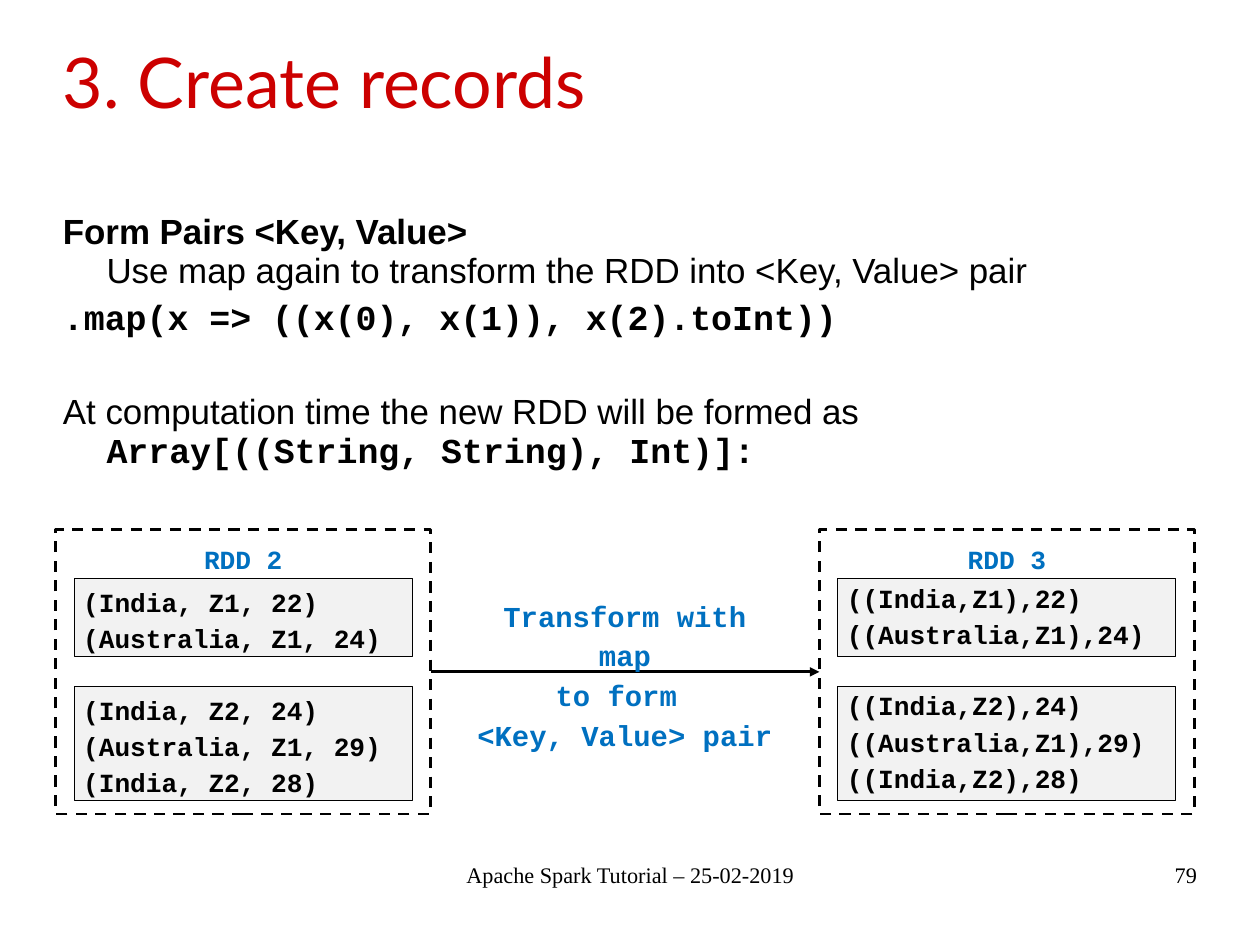
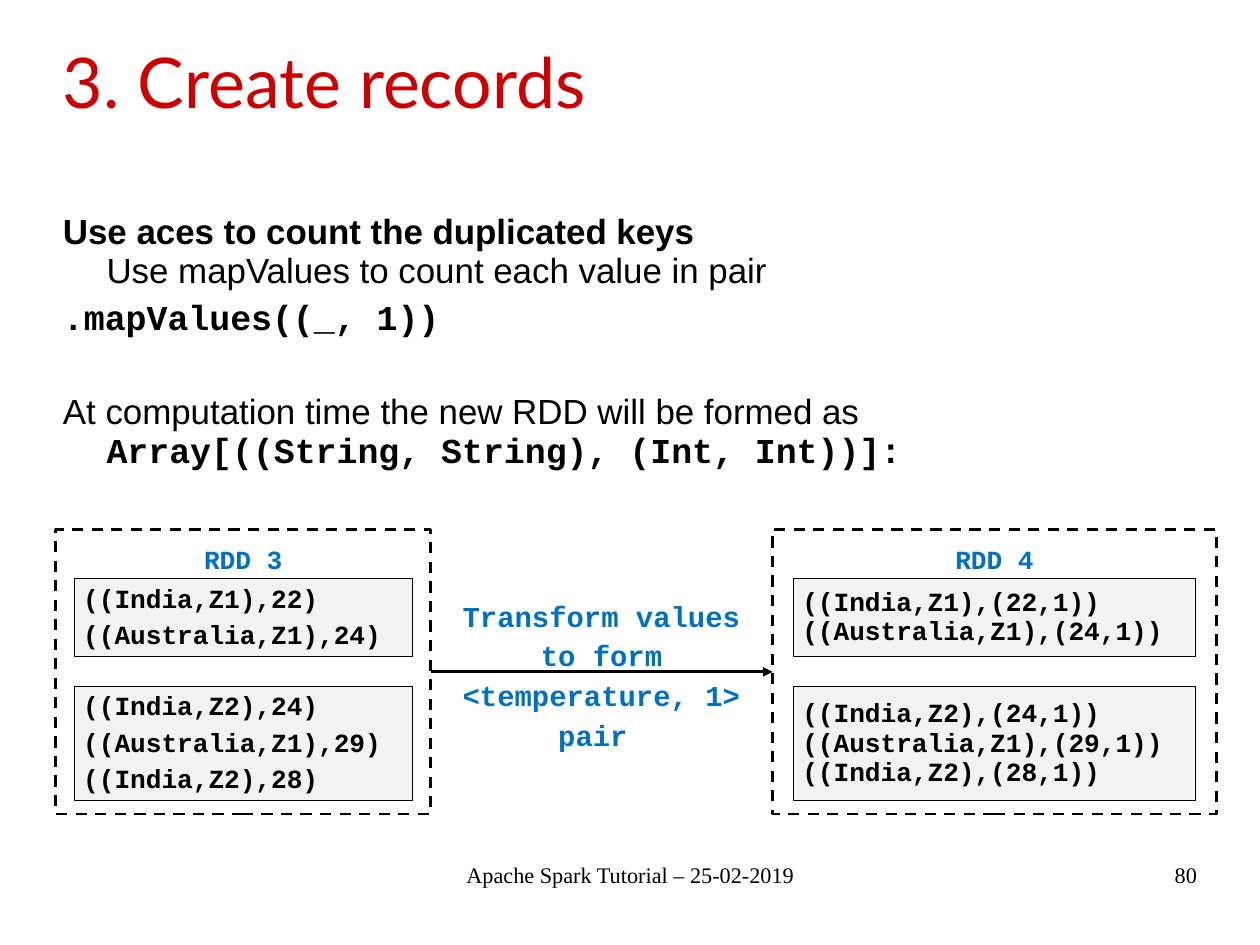
from dataclasses import dataclass

from lxml import etree
from pptx import Presentation
from pptx.dml.color import RGBColor
from pptx.enum.dml import MSO_LINE
from pptx.enum.shapes import MSO_CONNECTOR, MSO_SHAPE
from pptx.enum.text import MSO_ANCHOR, PP_ALIGN
from pptx.oxml.ns import qn
from pptx.util import Cm, Pt

RECTANGLE = MSO_SHAPE.RECTANGLE
STRAIGHT = MSO_CONNECTOR.STRAIGHT
DASH = MSO_LINE.DASH
TOP, MIDDLE = MSO_ANCHOR.TOP, MSO_ANCHOR.MIDDLE
LEFT, CENTER, RIGHT = PP_ALIGN.LEFT, PP_ALIGN.CENTER, PP_ALIGN.RIGHT

BLACK = RGBColor(0x00, 0x00, 0x00)
RED = RGBColor(0xCC, 0x00, 0x00)
BLUE = RGBColor(0x00, 0x70, 0xC0)
PALE_GRAY = RGBColor(0xF2, 0xF2, 0xF2)

SANS, MONO, SERIF, HEADING = "Arial", "Courier New", "Times New Roman", "Lato"

TITLE_BOX = (1.4, 0.03, 25.2, 3.5)
BODY_BOX = (1.4, 4.32, 25.35, 14.1)
FOOTER_BOX = (9.58, 19.13, 8.86, 1.45)
NUMBER_BOX = (20.07, 19.13, 6.53, 1.45)
PANE_TOP, PANE_HEIGHT = 11.77, 6.32
LEFT_PANE_BOX = (1.24, PANE_TOP, 8.33, PANE_HEIGHT)
STEP_WIDTH, STEP_HEIGHT, STEP_DROP = 7.26, 3.99, 1.21
RECORD_DROP, RECORD_GAP = 1.08, 0.65
RECORD_HEIGHTS = (1.75, 2.54)
PADDING = 0.2

LOOSE = (1.15, 0)
SPACED = (0.93, 4.6)
TIGHT = (0.93, 0)


@dataclass
class Style:
    font: str
    size: float
    color: RGBColor = BLACK
    bold: bool = False
    align: int = LEFT
    spacing: tuple = (1, 0)


TITLE = Style(HEADING, 44, RED, spacing=(0.69, 0))
FOOTER = Style(SERIF, 14, align=CENTER)
NUMBER = Style(SERIF, 14, align=RIGHT)
PANE_LABEL = Style(MONO, 16.5, BLUE, True, CENTER, LOOSE)
STEP_LABEL = Style(MONO, 18.2, BLUE, True, CENTER, LOOSE)


@dataclass
class Pane:
    name: str
    groups: tuple
    spacing: tuple
    inset: float = 0.41


@dataclass
class Content:
    number: int
    heading: str
    detail: str
    code: str
    result: str
    step: tuple
    source: Pane
    target: Pane
    target_left: float
    target_width: float


def format_span(span, font, size, color, bold):
    span.font.name = font
    span.font.size = Pt(size)
    span.font.color.rgb = color
    span.font.bold = bold


def set_frame(shape, anchor=TOP, padding=0, top=None):
    frame = shape.text_frame
    frame.word_wrap = True
    frame.vertical_anchor = anchor
    frame.margin_left = frame.margin_right = frame.margin_bottom = Cm(padding)
    frame.margin_top = Cm(padding if top is None else top)
    return frame


def write(frame, lines, style):
    frame.text = "\n".join(lines)
    line_spacing, gap = style.spacing
    for index, para in enumerate(frame.paragraphs):
        para.alignment = style.align
        para.line_spacing = line_spacing
        para.space_before = Pt(gap if index else 0)
        for span in para.runs:
            format_span(span, style.font, style.size, style.color, style.bold)


def add_label(page, box, lines, style, **frame_options):
    label = page.shapes.add_textbox(*map(Cm, box))
    write(set_frame(label, **frame_options), lines, style)


def add_rectangle(page, box, width):
    shape = page.shapes.add_shape(RECTANGLE, *map(Cm, box))
    shape.shadow.inherit = False
    shape.line.color.rgb = BLACK
    shape.line.width = Pt(width)
    return shape


def add_body(page, box, content):
    body = page.shapes.add_textbox(*map(Cm, box))
    frame = set_frame(body, top=0.43)
    blocks = (
        (0, ((content.heading, SANS, True), (content.detail, SANS, False))),
        (4.6, ((content.code, MONO, True),)),
        (35, (("At computation time the new RDD will be formed as", SANS, False),
              (content.result, MONO, True))),
    )
    for index, (gap, spans) in enumerate(blocks):
        para = frame.add_paragraph() if index else frame.paragraphs[0]
        properties = para._p.get_or_add_pPr()
        properties.set("marL", str(Cm(0.97)))
        properties.set("indent", str(Cm(-0.97)))
        para.line_spacing = 0.93
        para.space_before = Pt(gap)
        for position, (text, font, bold) in enumerate(spans):
            if position:
                para.add_line_break()
            span = para.add_run()
            span.text = text
            format_span(span, font, 22, BLACK, bold)


def add_pane(page, box, pane):
    left, top, width, _ = box
    style = Style(MONO, 16.5, bold=True, spacing=pane.spacing)
    record_top = top + RECORD_DROP
    for lines, height in zip(pane.groups, RECORD_HEIGHTS):
        record_box = (left + pane.inset, record_top, width - 2 * pane.inset, height)
        record = add_rectangle(page, record_box, 0.75)
        record.fill.solid()
        record.fill.fore_color.rgb = PALE_GRAY
        write(set_frame(record, MIDDLE, PADDING), lines, style)
        record_top += height + RECORD_GAP
    outline = add_rectangle(page, box, 1.75)
    outline.fill.background()
    outline.line.dash_style = DASH
    write(set_frame(outline, TOP, PADDING), (pane.name,), PANE_LABEL)
    return outline


def add_arrow(page, start, end):
    arrow = page.shapes.add_connector(STRAIGHT, 0, 0, 0, 0)
    arrow.begin_connect(start, 3)
    arrow.end_connect(end, 1)
    arrow.line.color.rgb = BLACK
    arrow.line.width = Pt(2)
    head = etree.SubElement(arrow.line._get_or_add_ln(), qn("a:tailEnd"))
    head.set("type", "triangle")
    etree.SubElement(arrow._element.spPr, qn("a:effectLst"))


def add_transformation(page, content):
    target_box = (content.target_left, PANE_TOP, content.target_width, PANE_HEIGHT)
    source = add_pane(page, LEFT_PANE_BOX, content.source)
    target = add_pane(page, target_box, content.target)
    add_arrow(page, source, target)
    gap_middle = (LEFT_PANE_BOX[0] + LEFT_PANE_BOX[2] + content.target_left) / 2
    step_box = (gap_middle - STEP_WIDTH / 2, PANE_TOP + STEP_DROP, STEP_WIDTH, STEP_HEIGHT)
    add_label(page, step_box, content.step, STEP_LABEL, padding=PADDING)


def add_page(deck, content):
    page = deck.slides.add_slide(deck.slide_layouts[6])
    add_label(page, FOOTER_BOX, ("Apache Spark Tutorial – 25-02-2019",), FOOTER)
    add_label(page, NUMBER_BOX, (str(content.number),), NUMBER)
    add_label(page, TITLE_BOX, ("3. Create records",), TITLE, anchor=MIDDLE, top=0.48)
    add_body(page, BODY_BOX, content)
    add_transformation(page, content)


PAIRS = Pane(
    "RDD 3",
    (("((India,Z1),22)", "((Australia,Z1),24)"),
     ("((India,Z2),24)", "((Australia,Z1),29)", "((India,Z2),28)")),
    SPACED,
)
TRIPLES = Pane(
    "RDD 2",
    (("(India, Z1, 22)", "(Australia, Z1, 24)"),
     ("(India, Z2, 24)", "(Australia, Z1, 29)", "(India, Z2, 28)")),
    LOOSE,
)
COUNTED_PAIRS = Pane(
    "RDD 4",
    (("((India,Z1),(22,1))", "((Australia,Z1),(24,1))"),
     ("((India,Z2),(24,1))", "((Australia,Z1),(29,1))", "((India,Z2),(28,1))")),
    TIGHT,
    inset=0.46,
)

CONTENTS = (
    Content(
        number=79,
        heading="Form Pairs <Key, Value>",
        detail="Use map again to transform the RDD into <Key, Value> pair",
        code=".map(x => ((x(0), x(1)), x(2).toInt))",
        result="Array[((String, String), Int)]:",
        step=("Transform with map", "to form ", "<Key, Value> pair "),
        source=TRIPLES,
        target=PAIRS,
        target_left=18.21,
        target_width=8.33,
    ),
    Content(
        number=80,
        heading="Use aces to count the duplicated keys",
        detail="Use mapValues to count each value in pair",
        code=".mapValues((_, 1))",
        result="Array[((String, String), (Int, Int))]:",
        step=("Transform values", "to form <temperature, 1> pair "),
        source=PAIRS,
        target=COUNTED_PAIRS,
        target_left=17.17,
        target_width=9.86,
    ),
)


def main():
    deck = Presentation()
    deck.slide_width, deck.slide_height = Cm(28), Cm(21)
    for content in CONTENTS:
        add_page(deck, content)
    deck.save("out.pptx")


if __name__ == "__main__":
    main()
